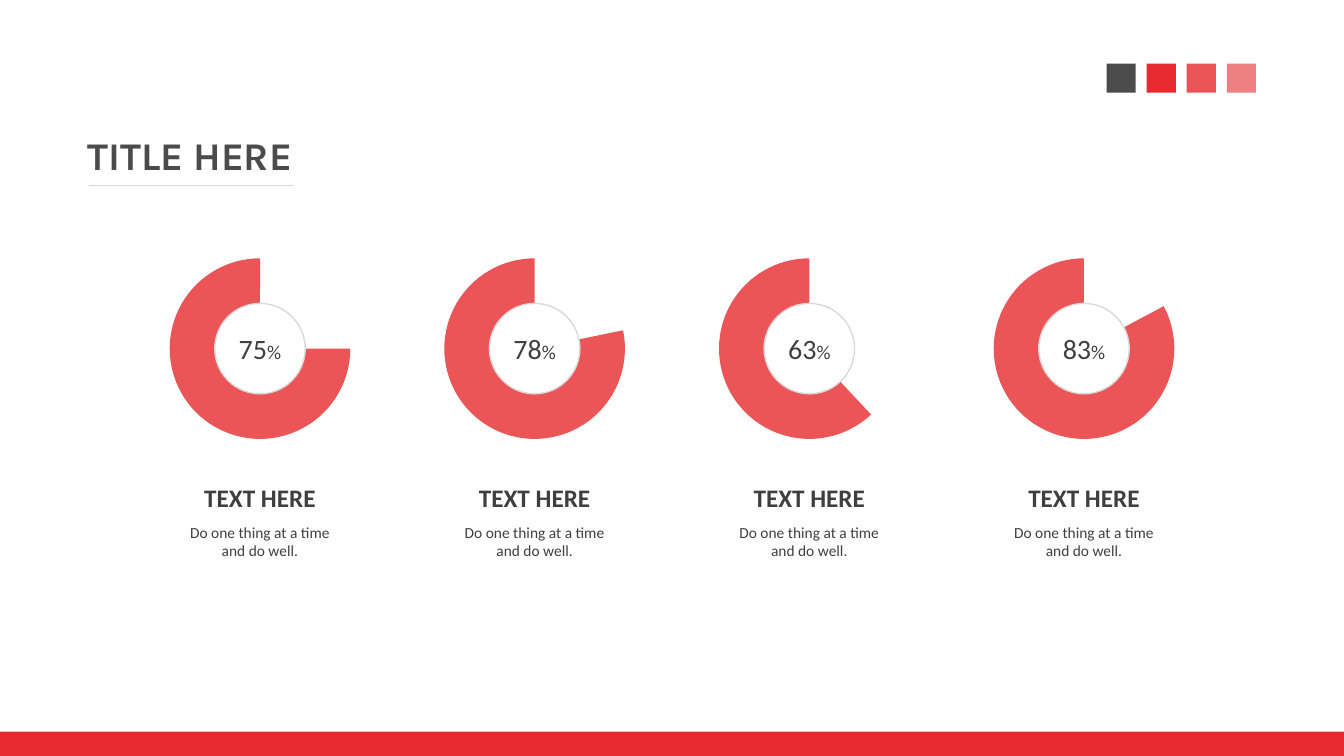
from pptx import Presentation
from pptx.dml.color import RGBColor
from pptx.enum.shapes import MSO_CONNECTOR, MSO_SHAPE
from pptx.enum.text import PP_ALIGN
from pptx.oxml.ns import qn
from pptx.util import Pt
from lxml.etree import SubElement

COLORS = {
    "red": "E72A2E",
    "coral": "EC5558",
    "dark": "4B4B4B",
    "text": "3F3F3F",
    "white": "FFFFFF",
    "ring": "D9D9D9",
    "rule": "D8D8D8",
}


class SlideBuilder:
    def __init__(self, slide, font="Calibri"):
        self.slide = slide
        self.font = font

    def color(self, name):
        return RGBColor.from_string(COLORS[name])

    def shape(self, kind, left, top, width, height, fill, line=None, opacity=100):
        shape = self.slide.shapes.add_shape(kind, Pt(left), Pt(top), Pt(width), Pt(height))
        shape.shadow.inherit = False
        shape.fill.solid()
        shape.fill.fore_color.rgb = self.color(fill)
        if opacity < 100:
            color_element = shape.fill._xPr.find(qn("a:solidFill"))[0]
            SubElement(color_element, qn("a:alpha")).set("val", str(opacity * 1000))
        if line:
            shape.line.color.rgb = self.color(line)
            shape.line.width = Pt(1)
        else:
            shape.line.fill.background()
        return shape

    def circle(self, kind, center_x, center_y, diameter, fill, line=None):
        radius = diameter / 2
        return self.shape(kind, center_x - radius, center_y - radius,
                          diameter, diameter, fill, line)

    def pie(self, center_x, center_y, diameter, start, end):
        shape = self.circle(MSO_SHAPE.PIE, center_x, center_y, diameter, "coral")
        for index, degrees in enumerate((start, end)):
            shape.adjustments[index] = degrees * 0.6

    def line(self, x1, y1, x2, y2, color):
        connector = self.slide.shapes.add_connector(
            MSO_CONNECTOR.STRAIGHT, Pt(x1), Pt(y1), Pt(x2), Pt(y2))
        connector.line.color.rgb = self.color(color)
        connector.line.width = Pt(1)
        SubElement(connector._element.spPr, qn("a:effectLst"))

    def text(self, left, top, width, height, text, size, color="text",
             bold=False, font=None, align=PP_ALIGN.CENTER):
        box = self.slide.shapes.add_textbox(Pt(left), Pt(top), Pt(width), Pt(height))
        box.text_frame.word_wrap = True
        paragraph = box.text_frame.paragraphs[0]
        paragraph.alignment = align
        paragraph.add_run().text = text
        paragraph.font.name = font or self.font
        paragraph.font.size = Pt(size)
        paragraph.font.bold = bold
        paragraph.font.color.rgb = self.color(color)
        return paragraph


def main():
    presentation = Presentation()
    presentation.slide_width = Pt(960)
    presentation.slide_height = Pt(540)
    slide = presentation.slides.add_slide(presentation.slide_layouts[6])
    builder = SlideBuilder(slide)

    swatches = [("dark", 100), ("red", 100), ("red", 80), ("red", 60)]
    for index, (color, opacity) in enumerate(swatches):
        builder.shape(MSO_SHAPE.RECTANGLE, 790.5 + index * 28.6, 45.5, 20.8, 20.8,
                      color, opacity=opacity)
    builder.shape(MSO_SHAPE.RECTANGLE, 0, 522.5, 960, 17.5, "red")

    builder.text(55.6, 90, 164, 41, "TITLE HERE", 28, "dark", True, "Karla", PP_ALIGN.LEFT)
    builder.line(63.3, 132.4, 210, 132.4, "rule")

    center_y = 249
    gauges = [("75", 0), ("78", 348.28), ("63", 46.88), ("83", 331.97)]
    for index, (percent, start) in enumerate(gauges):
        center_x = 185.7 + index * 196.2
        builder.pie(center_x, center_y, 129, start, 270)
        builder.circle(MSO_SHAPE.OVAL, center_x, center_y, 64.6, "white", "ring")
        number = builder.text(center_x - 23, 233.3, 46, 31.5, percent, 20)
        sign = number.add_run()
        sign.text = "%"
        sign.font.size = Pt(14)
        builder.text(center_x - 60, 341.3, 120, 29, "TEXT HERE", 18, bold=True)
        builder.text(center_x - 60, 370, 120, 34, "Do one thing at a time and do well.", 11)

    presentation.save("out.pptx")


if __name__ == "__main__":
    main()
